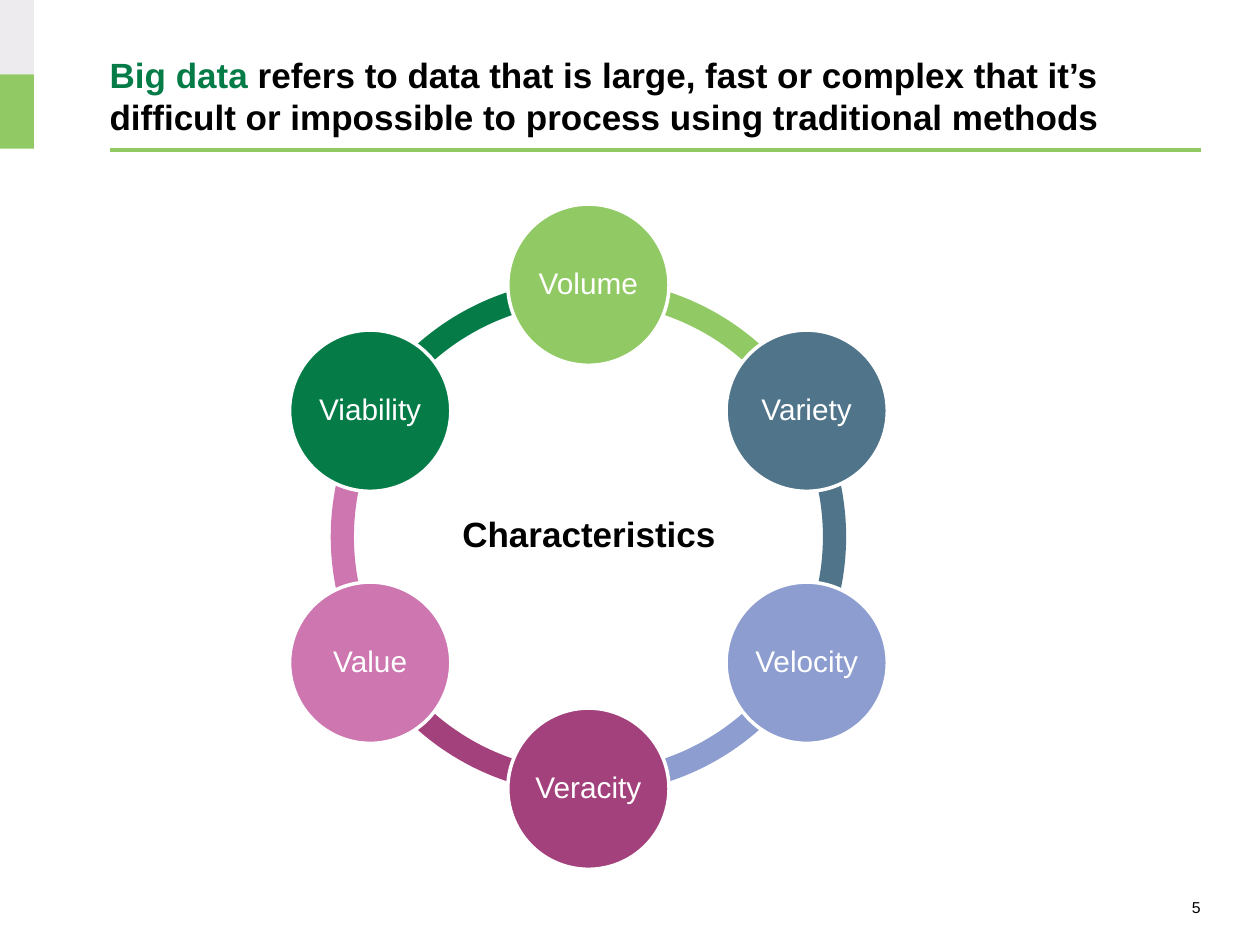
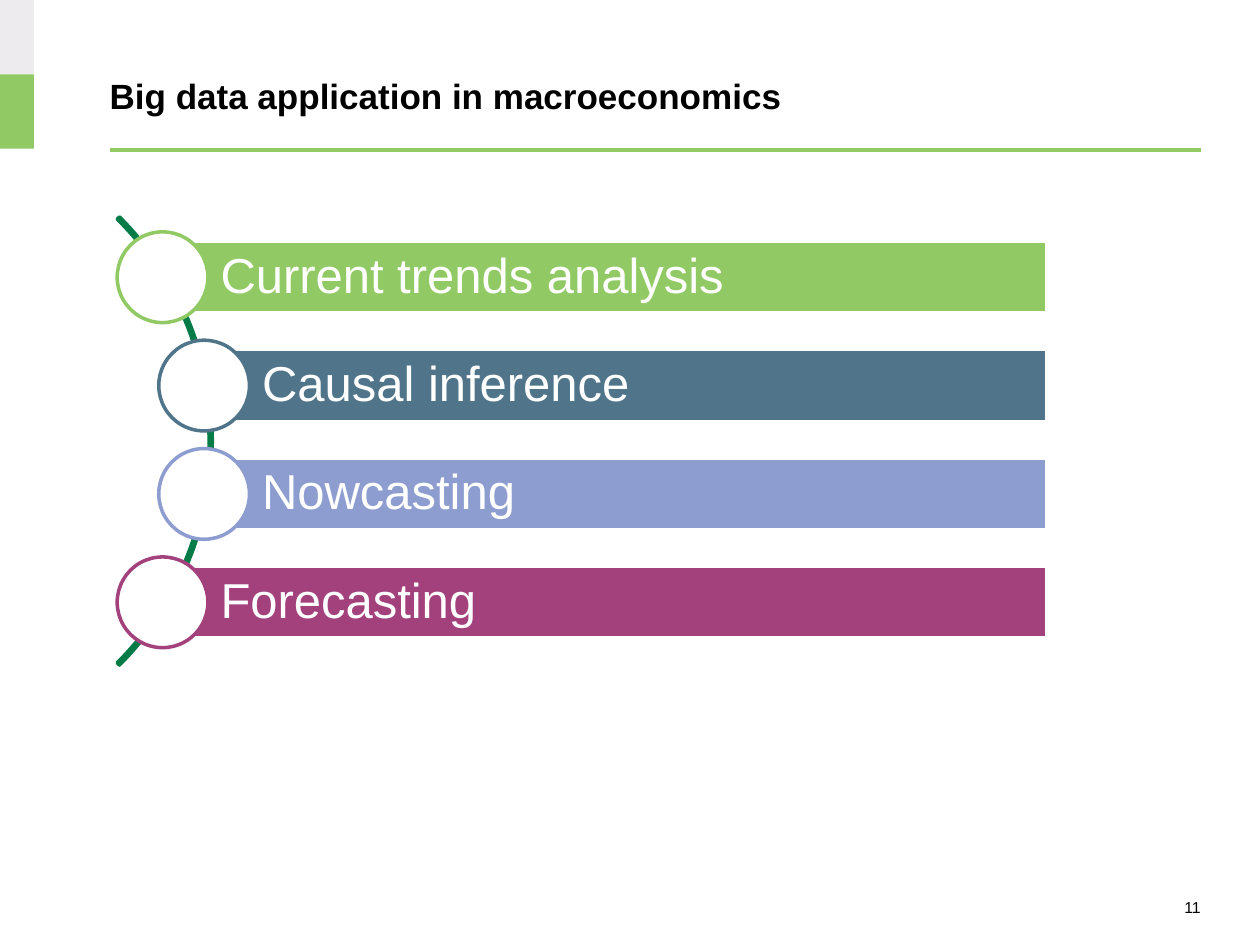
from math import cos, radians, sin

from lxml.etree import SubElement
from pptx import Presentation
from pptx.dml.color import RGBColor
from pptx.enum.shapes import MSO_CONNECTOR, MSO_SHAPE as Shape
from pptx.enum.text import MSO_ANCHOR, MSO_AUTO_SIZE, PP_ALIGN as Align
from pptx.oxml.ns import qn
from pptx.util import Inches, Pt

COLORS = {
    "lime": "91CA64", "slate": "50748A", "periwinkle": "8D9DD0",
    "plum": "A3417C", "pink": "CD76B0", "green": "057C48",
    "mist": "EEEBEE", "white": "FFFFFF", "black": "000000",
}
FONT = "Arial"
LEFT, WIDTH = 0.87, 8.66

CHARACTERISTICS = [
    ("Volume", "lime"), ("Variety", "slate"), ("Velocity", "periwinkle"),
    ("Veracity", "plum"), ("Value", "pink"), ("Viability", "green"),
]
APPLICATIONS = [
    ("Current trends analysis", "lime", 1.29), ("Causal inference", "slate", 1.62),
    ("Nowcasting", "periwinkle", 1.62), ("Forecasting", "plum", 1.29),
]


def rgb(name):
    """Return the named colour."""
    return RGBColor.from_string(COLORS[name])


def style_font(font, size, color, bold=False):
    """Set the face, size, colour and weight of a font."""
    font.name, font.size, font.bold = FONT, Pt(size), bold
    font.color.rgb = rgb(color)


def set_frame(frame, insets=(0, 0, 0, 0), wrap=True):
    """Centre a text frame vertically and set its insets."""
    frame.auto_size = MSO_AUTO_SIZE.NONE
    frame.word_wrap = wrap
    frame.vertical_anchor = MSO_ANCHOR.MIDDLE
    (frame.margin_left, frame.margin_top,
     frame.margin_right, frame.margin_bottom) = map(Inches, insets)


def add_form(slide, kind, box, fill=None, line=None):
    """Add a flat preset shape with optional fill and outline."""
    form = slide.shapes.add_shape(kind, *map(Inches, box))
    form.shadow.inherit = False
    if fill:
        form.fill.solid()
        form.fill.fore_color.rgb = rgb(fill)
    else:
        form.fill.background()
    if line:
        form.line.color.rgb = rgb(line)
        form.line.width = Pt(2)
    else:
        form.line.fill.background()
    return form


def add_circle(slide, x, y, diameter, fill, line):
    """Add a circle around a centre point."""
    box = (x - diameter / 2, y - diameter / 2, diameter, diameter)
    return add_form(slide, Shape.OVAL, box, fill, line)


def add_arc(slide, x, y, diameter, start, end, thickness, fill=None, line=None):
    """Add a block arc running clockwise between two angles in degrees."""
    box = (x - diameter / 2, y - diameter / 2, diameter, diameter)
    arc = add_form(slide, Shape.BLOCK_ARC, box, fill, line)
    for index, value in enumerate((start % 360 * 0.6, end % 360 * 0.6, thickness)):
        arc.adjustments[index] = value


def write_label(form, text, size, color="white", bold=False, align=Align.CENTER,
                insets=(0.02, 0.02, 0.02, 0.02)):
    """Write one line of text inside a shape."""
    set_frame(form.text_frame, insets, wrap=False)
    paragraph = form.text_frame.paragraphs[0]
    paragraph.text = text
    paragraph.alignment = align
    paragraph.line_spacing = 0.9
    style_font(paragraph.font, size, color, bold)


def add_title(slide, text, highlight=""):
    """Fill the title, with an optional green opening."""
    title = slide.shapes.title
    title.left, title.top, title.width, title.height = map(
        Inches, (LEFT, 0.59, WIDTH, 0.34))
    set_frame(title.text_frame)
    paragraph = title.text_frame.paragraphs[0]
    paragraph.alignment = Align.LEFT
    style_font(paragraph.font, 20, "black", bold=True)
    if highlight:
        opening = paragraph.add_run()
        opening.text = highlight
        opening.font.color.rgb = rgb("green")
    paragraph.add_run().text = text


def add_page_number(slide, number):
    """Write the page number at the bottom right."""
    footer = slide.shapes.add_textbox(*map(Inches, (8.15, 7.1, 1.38, 0.2)))
    set_frame(footer.text_frame)
    paragraph = footer.text_frame.paragraphs[0]
    paragraph.text = str(number)
    paragraph.alignment = Align.RIGHT
    style_font(paragraph.font, 9, "black")


def add_page(deck, number, title, highlight=""):
    """Add a slide with the corner bands, title, rule and page number."""
    slide = deck.slides.add_slide(deck.slide_layouts[5])
    for row, color in enumerate(("mist", "lime")):
        add_form(slide, Shape.RECTANGLE, (0, row * 0.59, 0.27, 0.59), color)
    rule = slide.shapes.add_connector(
        MSO_CONNECTOR.STRAIGHT, *map(Inches, (LEFT, 1.19, LEFT + WIDTH, 1.19)))
    rule.line.color.rgb = rgb("lime")
    rule.line.width = Pt(2.25)
    SubElement(rule._element.spPr, qn("a:effectLst"))
    add_title(slide, title, highlight)
    add_page_number(slide, number)
    return slide


def draw_characteristics(slide):
    """Draw the ring of characteristics around its heading."""
    x, y, radius = 4.67, 4.26, 2
    step = 360 / len(CHARACTERISTICS)
    nodes = [(name, color, index * step - 90)
             for index, (name, color) in enumerate(CHARACTERISTICS)]
    for _, color, angle in reversed(nodes):
        add_arc(slide, x, y, 4.09, angle, angle + step, 0.045, fill=color)
    hub = add_form(slide, Shape.OVAL, (2.94, 3.34, 3.47, 1.83), "white", "white")
    write_label(hub, "Characteristics", 20, "black", bold=True)
    for name, color, angle in nodes:
        node = add_circle(slide, x + radius * cos(radians(angle)),
                          y + radius * sin(radians(angle)), 1.28, color, "white")
        write_label(node, name, 17)


def draw_applications(slide):
    """Draw the application bars and their circles along a curve."""
    first, pitch, height, right = 2.2, 0.86, 0.57, 8.31
    add_arc(slide, -0.83, 3.5, 5.03, 315, 45, 0.005, line="green")
    for row, (name, color, x) in enumerate(APPLICATIONS):
        y = first + row * pitch
        bar = add_form(slide, Shape.RECTANGLE,
                       (x, y - height / 2, right - x, height), color, "white")
        write_label(bar, name, 28, align=Align.LEFT, insets=(0.46, 0.08, 0.08, 0.08))
        add_circle(slide, x, y, 0.72, "white", color)


def main():
    """Build and save the two slides."""
    deck = Presentation()
    deck.slide_width, deck.slide_height = Inches(10), Inches(7.5)
    draw_characteristics(add_page(
        deck, 5, "refers to data that is large, fast or complex that it’s difficult "
        "or impossible to process using traditional methods", "Big data "))
    draw_applications(add_page(deck, 11, "Big data application in macroeconomics"))
    deck.save("out.pptx")


if __name__ == "__main__":
    main()
